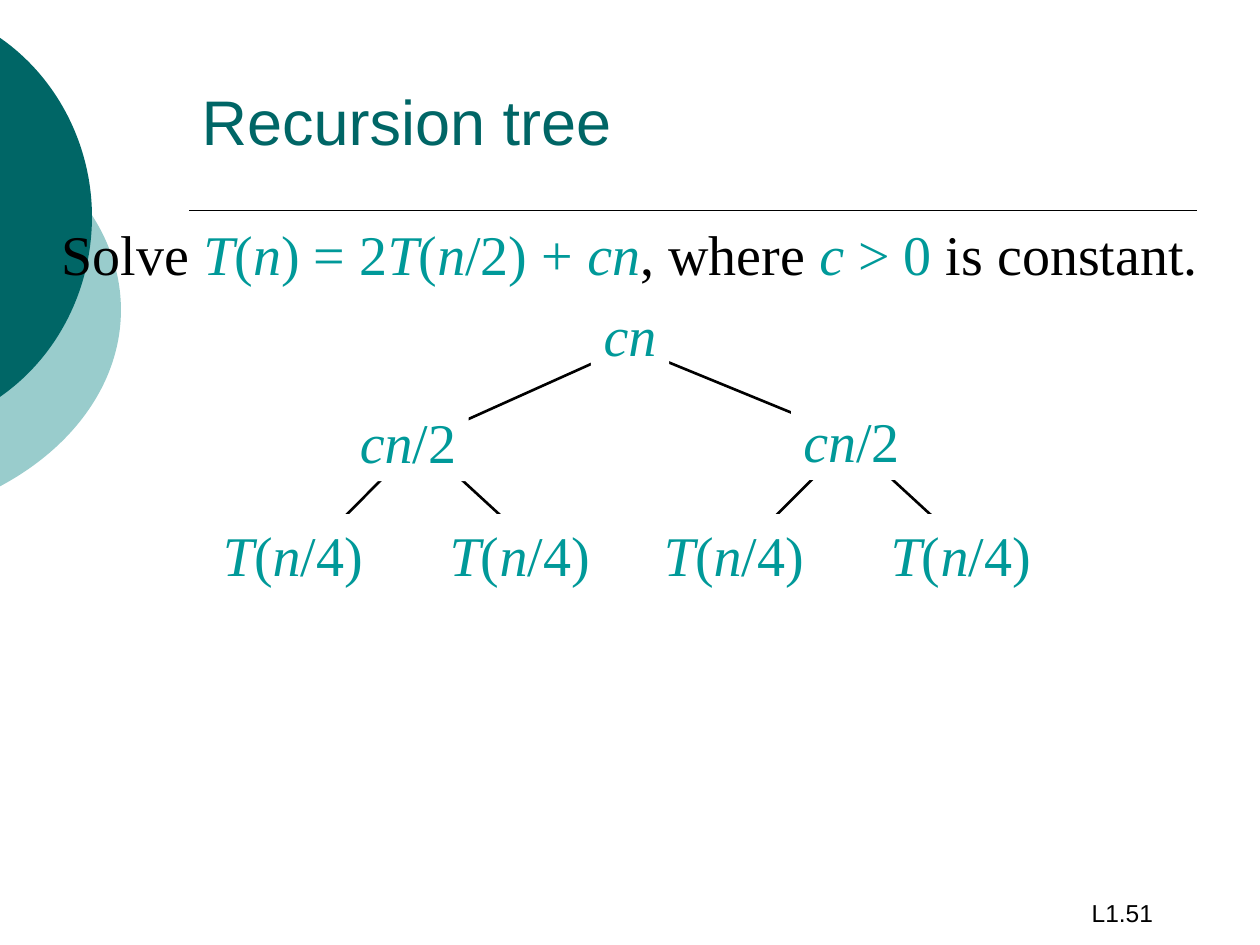
from itertools import groupby

from lxml import etree
from pptx import Presentation
from pptx.dml.color import RGBColor
from pptx.enum.shapes import MSO_CONNECTOR, MSO_SHAPE
from pptx.enum.text import MSO_ANCHOR, MSO_AUTO_SIZE, PP_ALIGN
from pptx.oxml.ns import qn
from pptx.util import Inches, Pt

STRAIGHT = MSO_CONNECTOR.STRAIGHT
RECTANGLE = MSO_SHAPE.RECTANGLE
MIDDLE = MSO_ANCHOR.MIDDLE
GROW, FIXED = MSO_AUTO_SIZE.SHAPE_TO_FIT_TEXT, MSO_AUTO_SIZE.NONE
LEFT, CENTER, RIGHT = PP_ALIGN.LEFT, PP_ALIGN.CENTER, PP_ALIGN.RIGHT

COLORS = {
    "ink": "000000",
    "paper": "FFFFFF",
    "dark_teal": "006666",
    "pale_teal": "99CCCC",
    "formula": "009999",
}
SERIF = {"name": "Times New Roman", "size": Pt(32)}
TITLE_FONT = {"name": "Arial", "size": Pt(36)}
NUMBER_FONT = {"name": "Arial", "size": Pt(14)}

ROOT = (5, 2.75)
BRANCH_Y, LEAF_Y = 3.5, 4.42
EDGES = [
    (ROOT, (3.33, BRANCH_Y)),
    (ROOT, (6.83, BRANCH_Y)),
    ((3.33, BRANCH_Y), (2.42, LEAF_Y)),
    ((3.33, BRANCH_Y), (4.33, LEAF_Y)),
    ((6.75, BRANCH_Y), (5.83, LEAF_Y)),
    ((6.75, BRANCH_Y), (7.75, LEAF_Y)),
]
NODE_HEIGHT = 0.64
NODES = [("cn", 4.69, 2.33, 0.62), ("cn/2", 2.76, 3.18, 0.96), ("cn/2", 6.28, 3.17, 0.96)]
NODES += [("T(n/4)", left, 4.08, 1.31) for left in (1.67, 3.47, 5.17, 6.97)]
NODE_MARGIN = Inches(0.05)


def color(name):
    return RGBColor.from_string(COLORS[name])


def add_span(para, text, ink, font_values, italic=False):
    span = para.add_run()
    span.text = text
    for key, value in font_values.items():
        setattr(span.font, key, value)
    span.font.italic = italic
    span.font.color.rgb = color(ink)


def add_formula(para, text):
    for is_variable, letters in groupby(text, str.isalpha):
        add_span(para, "".join(letters), "formula", SERIF, is_variable)


def set_frame(shape, align, **values):
    for key, value in values.items():
        setattr(shape.text_frame, key, value)
    para = shape.text_frame.paragraphs[0]
    para.alignment = align
    return para


def add_box(page, left, top, width, height):
    return page.shapes.add_textbox(*map(Inches, (left, top, width, height)))


def add_line(page, start, end, weight):
    line = page.shapes.add_connector(STRAIGHT, *map(Inches, start + end))
    line.line.color.rgb = color("ink")
    line.line.width = Pt(weight)
    etree.SubElement(line._element.spPr, qn("a:effectLst"))


def add_path_step(outline, kind, points, left, top):
    step = etree.SubElement(outline, qn(f"a:{kind}"))
    for x, y in points:
        place = {"x": str(Inches(x - left)), "y": str(Inches(y - top))}
        etree.SubElement(step, qn("a:pt"), place)


def add_disc(page, bounds, start, curves, fill):
    left, top, width, height = bounds
    builder = page.shapes.build_freeform(Inches(left), Inches(top))
    corner = (Inches(left + width), Inches(top + height))
    builder.add_line_segments([corner], close=True)
    disc = builder.convert_to_shape()
    outline = disc._element.spPr.find(".//" + qn("a:path"))
    for step in list(outline):
        outline.remove(step)
    add_path_step(outline, "moveTo", [start], left, top)
    for curve in curves:
        add_path_step(outline, "cubicBezTo", curve, left, top)
    etree.SubElement(outline, qn("a:close"))
    disc.shadow.inherit = False
    disc.fill.solid()
    disc.fill.fore_color.rgb = color(fill)
    disc.line.fill.background()


def add_title(page, text):
    title = page.shapes.title
    for key, value in {"left": 1.5, "top": 0.33, "width": 8, "height": 1.25}.items():
        setattr(title, key, Inches(value))
    para = set_frame(title, LEFT, vertical_anchor=MIDDLE, auto_size=FIXED)
    add_span(para, text, "dark_teal", TITLE_FONT)


def add_problem(page):
    box = add_box(page, 0.39, 1.69, 9.22, 0.64)
    para = set_frame(box, LEFT, word_wrap=False, auto_size=GROW)
    add_span(para, "Solve ", "ink", SERIF)
    add_formula(para, "T(n) = 2T(n/2) + cn")
    add_span(para, ", where ", "ink", SERIF)
    add_formula(para, "c > 0")
    add_span(para, " is constant.", "ink", SERIF)


def add_node(page, text, left, top, width):
    node = page.shapes.add_shape(
        RECTANGLE, *map(Inches, (left, top, width, NODE_HEIGHT)))
    node.shadow.inherit = False
    node.fill.solid()
    node.fill.fore_color.rgb = color("paper")
    node.line.fill.background()
    para = set_frame(node, CENTER, word_wrap=False, auto_size=FIXED,
                     margin_left=NODE_MARGIN, margin_right=NODE_MARGIN)
    add_formula(para, text)


def add_page_number(page, text):
    box = add_box(page, 7.17, 7.08, 2.08, 0.25)
    para = set_frame(box, RIGHT, word_wrap=True, auto_size=FIXED)
    add_span(para, text, "ink", NUMBER_FONT)


def main():
    deck = Presentation()
    deck.slide_width, deck.slide_height = Inches(10), Inches(7.5)
    page = deck.slides.add_slide(deck.slide_layouts[5])
    add_disc(page, (-3.54, 0.75, 4.5, 3.42), (0, 1.06), [
        [(0.6, 1.38), (0.96, 1.9), (0.96, 2.46)],
        [(0.96, 3.02), (0.6, 3.54), (0, 3.86)],
    ], "pale_teal")
    add_disc(page, (-2.65, 0, 3.38, 3.45), (0, 0.3), [
        [(0.46, 0.62), (0.73, 1.16), (0.73, 1.72)],
        [(0.73, 2.29), (0.46, 2.83), (0, 3.15)],
    ], "dark_teal")
    add_line(page, (1.5, 1.67), (9.5, 1.67), 1)
    add_page_number(page, "L1.51")
    add_title(page, "Recursion tree")
    add_problem(page)
    for start, end in EDGES:
        add_line(page, start, end, 1.5)
    for node in NODES:
        add_node(page, *node)
    deck.save("out.pptx")


if __name__ == "__main__":
    main()
